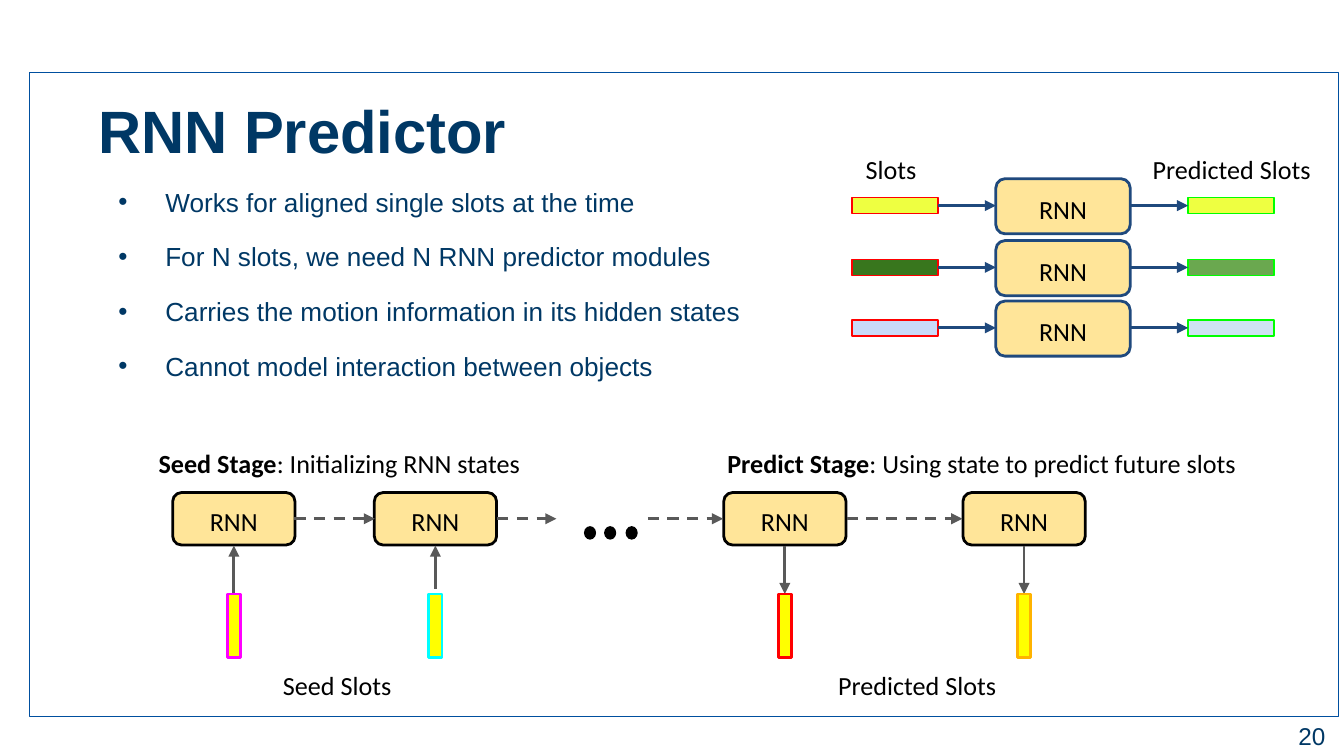
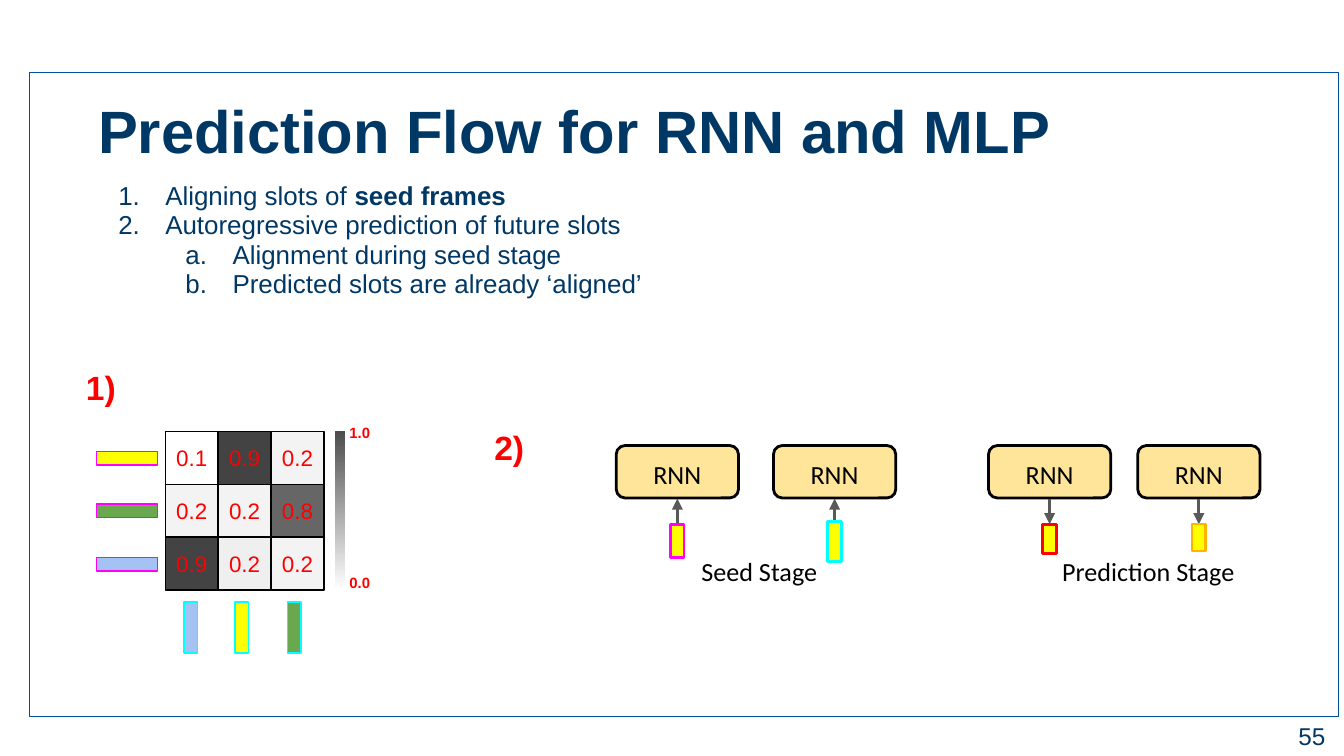
"""Build two slides on slot prediction with RNN modules."""
from lxml import etree
from pptx import Presentation
from pptx import util as u
from pptx.dml.color import RGBColor
from pptx.enum import dml, shapes, text
from pptx.oxml.ns import qn

HUES = {
    "navy": "003865", "frame": "004F9F", "blue": "1F497D", "gray": "595959",
    "black": "000000", "white": "FFFFFF", "red": "FF0000", "lime": "00FF00",
    "pink": "FF00FF", "cyan": "00FFFF", "gold": "FFB300", "sand": "FFE599",
    "yellow": "FFFF00", "lemon": "EEFF41", "forest": "38761D", "green": "6AA84F",
    "ice": "C9DAF8", "mist": "CFE2F3", "sky": "A4C2F4", "char": "4D4D4D",
    "dark": "434343", "mid": "666666", "pale": "F3F3F3", "light": "EFEFEF",
}
RGB = {name: RGBColor.from_string(code) for name, code in HUES.items()}
RECT = shapes.MSO_SHAPE.RECTANGLE
ROUND = shapes.MSO_SHAPE.ROUNDED_RECTANGLE
OVAL = shapes.MSO_SHAPE.OVAL
LEFT, MID, RIGHT = text.PP_ALIGN.LEFT, text.PP_ALIGN.CENTER, text.PP_ALIGN.RIGHT


def write(para, words, size, face, hue, align=LEFT):
    """Fill a paragraph; words between double stars are bold."""
    para.alignment = align
    for i, part in enumerate(words.split("**")):
        if part:
            run = para.add_run()
            run.text = part
            run.font.size = u.Pt(size)
            run.font.name = face
            run.font.bold = i % 2 == 1
            run.font.color.rgb = RGB[hue]


def put(slide, kind, at, fill=None, line=None, width=0.75, words="", size=14,
        face="Calibri", hue="black", align=MID, pad=(0.1, 0.1, 0.1, 0.1)):
    """Add a shape, or a text box when kind is None."""
    at = [u.Inches(n) for n in at]
    if kind is None:
        item = slide.shapes.add_textbox(*at)
    else:
        item = slide.shapes.add_shape(kind, *at)
        item.shadow.inherit = False
        if fill:
            item.fill.solid()
            item.fill.fore_color.rgb = RGB[fill]
        else:
            item.fill.background()
        if line:
            item.line.color.rgb = RGB[line]
            item.line.width = u.Pt(width)
        else:
            item.line.fill.background()
    if words:
        frame = item.text_frame
        frame.word_wrap = True
        (frame.margin_left, frame.margin_top,
         frame.margin_right, frame.margin_bottom) = [u.Inches(n) for n in pad]
        write(frame.paragraphs[0], words, size, face, hue, align)
    return item


prs = Presentation()
prs.slide_width = u.Inches(10)
prs.slide_height = prs.slide_width * 9 // 16

pages = [
    ("RNN Predictor", "20", 5.21, 1.94, 14, 1.15, 10, [
        (0, "•", "Works for aligned single slots at the time"),
        (0, "•", "For N slots, we need N RNN predictor modules"),
        (0, "•", "Carries the motion information in its hidden states"),
        (0, "•", "Cannot model interaction between objects")]),
    ("Prediction Flow for RNN and MLP", "55", 9.07, 1.01, 13.9, 0.95, 0, [
        (0, "arabicPeriod", "Aligning slots of **seed frames**"),
        (0, "arabicPeriod", "Autoregressive prediction of future slots"),
        (1, "alphaLcPeriod", "Alignment during seed stage"),
        (1, "alphaLcPeriod", "Predicted slots are already ‘aligned’")]),
]
slides = []
for head, num, wide, high, size, lead, gap, items in pages:
    slide = prs.slides.add_slide(prs.slide_layouts[1])
    slides.append(slide)
    title, body = slide.placeholders
    for holder, at in ((title, (0.63, 0.57, 9.1, 0.67)),
                       (body, (0.63, 1.3, wide, high))):
        holder.left, holder.top, holder.width, holder.height = [u.Inches(n) for n in at]
        frame = holder.text_frame
        frame.auto_size = text.MSO_AUTO_SIZE.NONE
        frame.word_wrap = True
        frame.vertical_anchor = text.MSO_ANCHOR.TOP
        frame.margin_left = frame.margin_right = u.Inches(0.1)
        frame.margin_top = frame.margin_bottom = u.Inches(0.05)
    para = title.text_frame.paragraphs[0]
    para.line_spacing = 1.15
    para.space_before = u.Pt(0)
    write(para, f"**{head}**", 32, "Arial", "navy")
    for i, (level, mark, words) in enumerate(items):
        para = body.text_frame.add_paragraph() if i else body.text_frame.paragraphs[0]
        para.level = level
        props = para._p.get_or_add_pPr()
        props.set("marL", str(u.Inches(0.5 + 0.5 * level)))
        props.set("indent", str(u.Inches(-0.35)))
        tint = etree.SubElement(props, qn("a:buClr"))
        etree.SubElement(tint, qn("a:srgbClr")).set("val", HUES["navy"])
        etree.SubElement(props, qn("a:buFont")).set("typeface", "Arial")
        if mark == "•":
            etree.SubElement(props, qn("a:buChar")).set("char", mark)
        else:
            etree.SubElement(props, qn("a:buAutoNum")).set("type", mark)
        para.line_spacing = lead
        para.space_before = u.Pt(gap if i else 0)
        write(para, words, size, "Arial", "navy")
    put(slide, None, (9.36, 5.27, 0.6, 0.43), words=num, size=13,
        face="Arial", hue="navy", align=RIGHT)
one, two = slides

border = put(one, RECT, (0.22, 0.54, 9.74, 4.79), line="frame")
border.element.nvSpPr.cNvPr.id = 20
prs.slide_master.shapes.element.insert(2, border.element)

links = []
rows = [(1.53, "lemon", "lemon"), (1.99, "forest", "green"), (2.44, "ice", "mist")]
for y, old, new in rows:
    put(one, RECT, (6.34, y - 0.06, 0.64, 0.12), old, "red")
    put(one, RECT, (8.84, y - 0.06, 0.64, 0.12), new, "lime")
    put(one, ROUND, (7.41, y - 0.2, 1, 0.41), "sand", "blue", 1.5, "RNN",
        pad=(0.02, 0.04, 0.02, 0))
    for x in (6.98, 8.41):
        links.append((one, x, y, x + 0.43, y, "blue", False))

cells = [
    (one, 1.74, 3.86, 4.42, 0.47, "pink", 4.42, True),
    (one, 3.24, 3.86, 4.42, 0.47, "cyan", 4.38, True),
    (one, 5.84, 3.86, 4.42, 0.47, "red", 4.42, False),
    (one, 7.62, 3.86, 4.42, 0.47, "gold", 4.42, False),
    (two, 5.04, 3.51, 3.9, 0.25, "pink", 4.07, True),
    (two, 6.21, 3.51, 3.88, 0.3, "cyan", 4.03, True),
    (two, 7.81, 3.51, 3.9, 0.22, "red", 3.9, False),
    (two, 8.92, 3.51, 3.9, 0.2, "gold", 3.9, False),
]
for slide, x, y, top, high, edge, end, up in cells:
    put(slide, ROUND, (x - 0.91 / 2, y - 0.39 / 2, 0.91, 0.39), "sand", "black", 1.5,
        "RNN", pad=(0.02, 0.04, 0.02, 0))
    span = (end, y + 0.2) if up else (y + 0.2, end)
    links.append((slide, x, span[0], x, span[1], "gray", False))
for x, end in ((2.19, 2.79), (3.7, 4.14), (4.82, 5.38), (6.3, 7.16)):
    links.append((one, x, 3.86, end, 3.86, "gray", True))

for slide, x, y, end, stop, hue, dash in links:
    wire = slide.shapes.add_connector(
        shapes.MSO_CONNECTOR.STRAIGHT, *[u.Inches(n) for n in (x, y, end, stop)])
    wire.line.color.rgb = RGB[hue]
    wire.line.width = u.Pt(1.5)
    if dash:
        wire.line.dash_style = dml.MSO_LINE.DASH
    props = wire.element.spPr
    etree.SubElement(props.find(qn("a:ln")), qn("a:tailEnd")).set("type", "triangle")
    etree.SubElement(props, qn("a:effectLst"))

for slide, x, y, top, high, edge, end, up in cells:
    put(slide, RECT, (x - 0.05, top, 0.1, high), "yellow", edge, 1.5)

for x in (4.35, 4.5, 4.66):
    put(one, OVAL, (x, 3.92, 0.08, 0.09), "black", "black")

labels = [
    (one, 6.3, 1.04, 0.58, 0.4, "Slots"),
    (one, 8.32, 1.04, 1.69, 0.4, "Predicted Slots"),
    (one, 0.57, 3.23, 3.91, 0.44, "**Seed Stage**: Initializing RNN states"),
    (one, 4.98, 3.23, 4.65, 0.44, "**Predict Stage**: Using state to predict future slots"),
    (one, 1.78, 4.88, 1.46, 0.44, "Seed Slots"),
    (one, 5.89, 4.88, 1.87, 0.44, "Predicted Slots"),
    (two, 4.92, 4.03, 1.46, 0.44, "Seed Stage"),
    (two, 7.61, 4.03, 1.87, 0.44, "Prediction Stage"),
]
for slide, x, y, wide, high, words in labels:
    put(slide, None, (x, y, wide, high), words=words,
        pad=(0.1, 0.1, 0.02 if words == "Slots" else 0.1, 0.1))
for x, y, wide, words in ((0.54, 2.63, 2.15, "1)"), (3.58, 3.08, 0.73, "2)")):
    put(two, None, (x, y, wide, 0.5), words=f"**{words}**", size=18,
        face="Arial", hue="red", align=LEFT)

grid = [
    [("0.1", "white"), ("0.9", "dark"), ("0.2", "pale")],
    [("0.2", "pale"), ("0.2", "pale"), ("0.8", "mid")],
    [("0.9", "dark"), ("0.2", "light"), ("0.2", "pale")],
]
side = 1.18 / 3
for r, row in enumerate(grid):
    for c, (words, fill) in enumerate(row):
        put(two, RECT, (1.23 + side * c, 3.21 + side * r, side, side), fill, "black",
            words=words, size=12, face="Arial", hue="red", pad=(0.02, 0.1, 0.02, 0.1))
for y, fill in ((3.36, "yellow"), (3.75, "green"), (4.15, "sky")):
    put(two, RECT, (0.72, y, 0.45, 0.1), fill, "pink")
for x, fill in ((1.37, "sky"), (1.75, "yellow"), (2.14, "green")):
    put(two, RECT, (x, 4.48, 0.1, 0.38), fill, "cyan")

scale = put(two, RECT, (2.49, 3.21, 0.08, 1.18))
scale.fill.gradient()
scale.fill.gradient_angle = 270
for stop, hue in zip(scale.fill.gradient_stops, ("char", "white")):
    stop.color.rgb = RGB[hue]
for y, words in ((3.13, "1.0"), (4.25, "0.0")):
    put(two, None, (2.6, y, 0.29, 0.17), words=f"**{words}**", size=8,
        face="Arial", hue="red", align=LEFT, pad=(0, 0.02, 0, 0.02))

prs.save("out.pptx")
